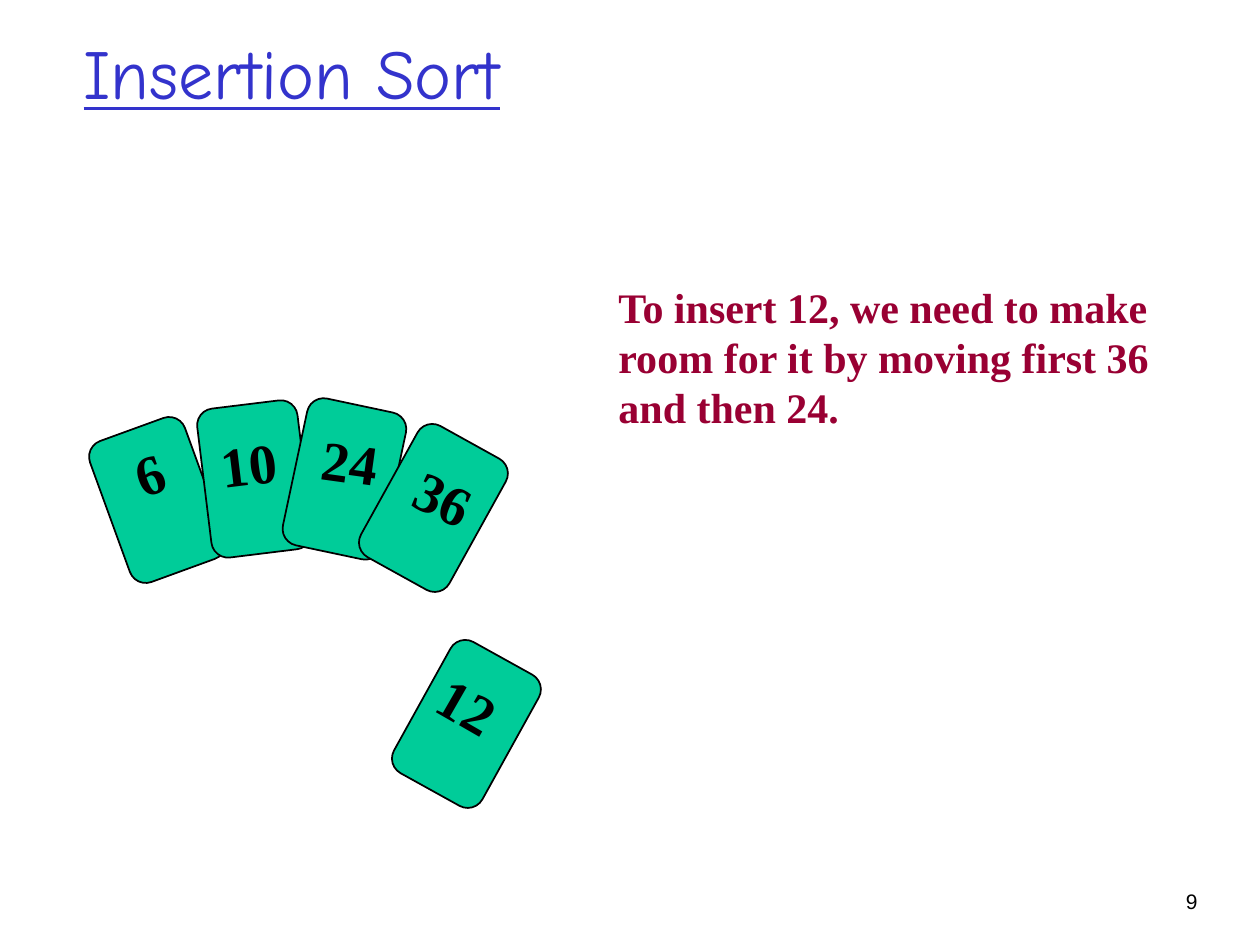
from dataclasses import dataclass

from pptx import Presentation
from pptx.dml.color import RGBColor
from pptx.enum.shapes import MSO_SHAPE
from pptx.enum.text import MSO_ANCHOR, MSO_AUTO_SIZE, PP_ALIGN
from pptx.util import Emu, Pt

ROUNDED = MSO_SHAPE.ROUNDED_RECTANGLE
BOTTOM = MSO_ANCHOR.BOTTOM
TOP = MSO_ANCHOR.TOP
NO_FIT = MSO_AUTO_SIZE.NONE
LEFT = PP_ALIGN.LEFT
RIGHT = PP_ALIGN.RIGHT
PX = 914400 // 126


@dataclass(frozen=True)
class Theme:
    title_color: RGBColor = RGBColor(0x33, 0x33, 0xCC)
    note_color: RGBColor = RGBColor(0x99, 0x00, 0x33)
    card_color: RGBColor = RGBColor(0x00, 0xCC, 0x99)
    ink: RGBColor = RGBColor(0x00, 0x00, 0x00)
    title_font: str = "Comic Neue"
    body_font: str = "Times New Roman"
    number_font: str = "Arial"
    title_size: int = 40
    card_size: int = 32
    note_size: int = 24
    number_size: int = 12


theme = Theme()


def place(shape, left, top, width, height):
    shape.left, shape.top = Emu(left * PX), Emu(top * PX)
    shape.width, shape.height = Emu(width * PX), Emu(height * PX)


def write(shape, text, font, size, color, bold=False, align=LEFT, wrap=True, anchor=TOP):
    frame = shape.text_frame
    frame.word_wrap = wrap
    frame.auto_size = NO_FIT
    frame.vertical_anchor = anchor
    paragraph = frame.paragraphs[0]
    paragraph.alignment = align
    run = paragraph.add_run()
    run.text = text
    run.font.name = font
    run.font.size = Pt(size)
    run.font.bold = bold
    run.font.color.rgb = color
    return run


presentation = Presentation()
presentation.slide_width = Emu(1260 * PX)
presentation.slide_height = Emu(945 * PX)
slide = presentation.slides.add_slide(presentation.slide_layouts[5])

title = slide.shapes.title
place(title, 71, 84, 872, 36)
title_run = write(title, "Insertion Sort", theme.title_font, theme.title_size,
                  theme.title_color, anchor=BOTTOM)
title_run.font.underline = True

page_number = slide.shapes.add_textbox(0, 0, 0, 0)
place(page_number, 1109, 882, 101, 40)
write(page_number, "9", theme.number_font, theme.number_size, theme.ink, align=RIGHT)

note = slide.shapes.add_textbox(0, 0, 0, 0)
place(note, 606, 275, 587, 164)
write(note, "To insert 12, we need to make room for it by moving first 36 and then 24.",
      theme.body_font, theme.note_size, theme.note_color, bold=True)

cards = [
    ("6", (107, 425), 340, (123, 433), 341),
    ("10", (204, 404), 353, (208, 423), 353),
    ("24", (294, 404), 12, (310, 421), 8),
    ("12", (416, 649), 29, (428, 665), 30),
    ("36", (383, 433), 29, (404, 457), 25),
]
for value, card_corner, card_angle, label_corner, label_angle in cards:
    card = slide.shapes.add_shape(ROUNDED, 0, 0, 0, 0)
    place(card, *card_corner, 101, 150)
    card.rotation = card_angle
    card.shadow.inherit = False
    card.fill.solid()
    card.fill.fore_color.rgb = theme.card_color
    card.line.color.rgb = theme.ink
    card.line.width = Pt(1)

    label = slide.shapes.add_textbox(0, 0, 0, 0)
    place(label, *label_corner, 25 + 28 * len(value), 79)
    label.rotation = label_angle
    write(label, value, theme.body_font, theme.card_size, theme.ink, bold=True, wrap=False)

presentation.save("out.pptx")
